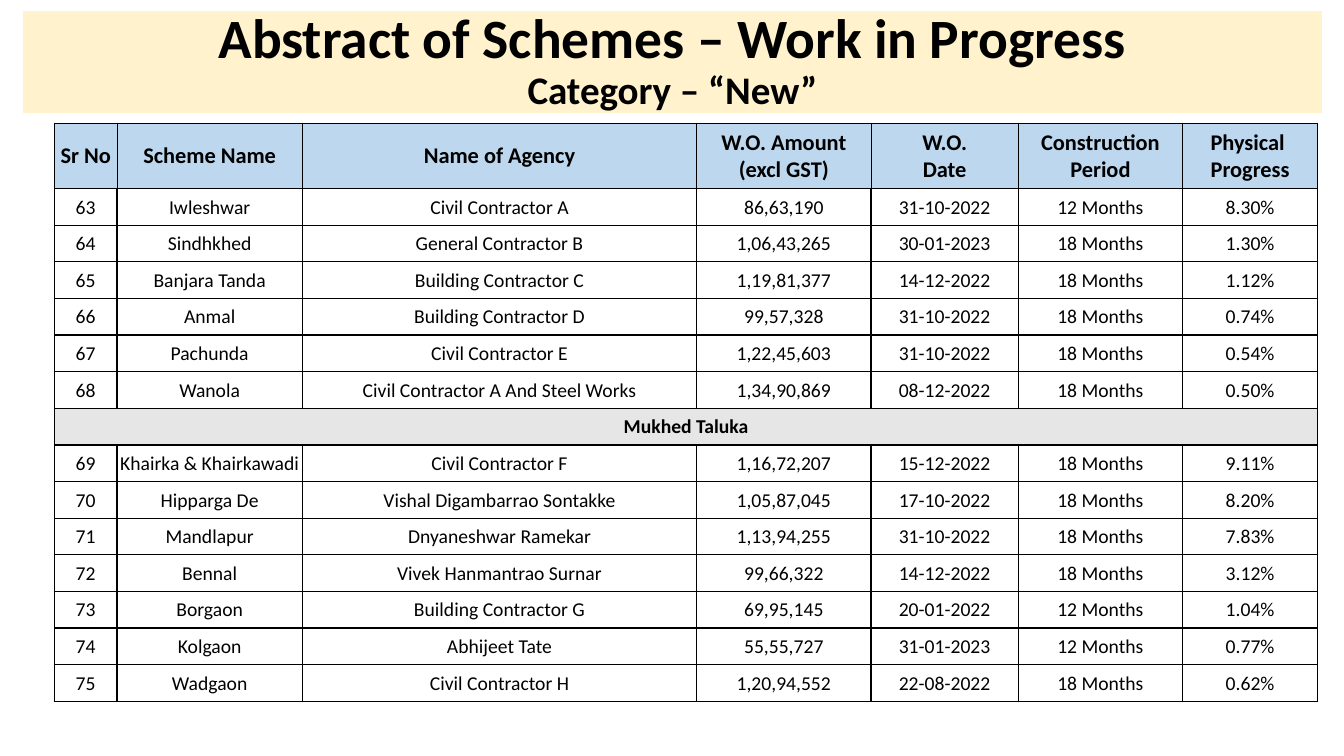
from lxml.etree import SubElement
from pptx import Presentation
from pptx.dml.color import RGBColor
from pptx.enum.text import MSO_ANCHOR, PP_ALIGN
from pptx.oxml.ns import qn
from pptx.util import Inches, Pt

COLORS = {"black": "000000", "banner": "FFF2CC", "header": "BDD7EE", "taluka": "E7E6E6"}
FONT = "Calibri"
TITLE = [("Abstract of Schemes – Work in Progress", 39.6), ("Category – “New”", 27.9)]
COLUMN_WIDTHS = [0.62, 1.84, 3.91, 1.73, 1.46, 1.63, 1.34]
HEADINGS = [
    ("Sr No", "Scheme Name", "Name of Agency", "W.O. Amount\v(excl GST)", "W.O.\vDate",
     "Construction\vPeriod", "Physical \nProgress"),
]
SCHEMES = [
    ("63", "Iwleshwar", "Civil Contractor A", "86,63,190", "31-10-2022", "12 Months", "8.30%"),
    ("64", "Sindhkhed", "General Contractor B", "1,06,43,265", "30-01-2023", "18 Months", "1.30%"),
    ("65", "Banjara Tanda", "Building Contractor C", "1,19,81,377", "14-12-2022", "18 Months", "1.12%"),
    ("66", "Anmal", "Building Contractor D", "99,57,328", "31-10-2022", "18 Months", "0.74%"),
    ("67", "Pachunda", "Civil Contractor E", "1,22,45,603", "31-10-2022", "18 Months", "0.54%"),
    ("68", "Wanola", "Civil Contractor A And Steel Works", "1,34,90,869", "08-12-2022", "18 Months", "0.50%"),
    ("Mukhed Taluka",),
    ("69", "Khairka & Khairkawadi", "Civil Contractor F", "1,16,72,207", "15-12-2022", "18 Months", "9.11%"),
    ("70", "Hipparga De", "Vishal Digambarrao Sontakke", "1,05,87,045", "17-10-2022", "18 Months", "8.20%"),
    ("71", "Mandlapur", "Dnyaneshwar Ramekar", "1,13,94,255", "31-10-2022", "18 Months", "7.83%"),
    ("72", "Bennal", "Vivek Hanmantrao Surnar", "99,66,322", "14-12-2022", "18 Months", "3.12%"),
    ("73", "Borgaon", "Building Contractor G", "69,95,145", "20-01-2022", "12 Months", "1.04%"),
    ("74", "Kolgaon", "Abhijeet Tate", "55,55,727", "31-01-2023", "12 Months", "0.77%"),
    ("75", "Wadgaon", "Civil Contractor H", "1,20,94,552", "22-08-2022", "18 Months", "0.62%"),
]
TABLE_LEFT, HEADER_TOP, HEADER_HEIGHT, SCHEMES_HEIGHT = 0.54, 1.22, 0.65, 5.09
CELL_FORMAT = {
    "vertical_anchor": MSO_ANCHOR.MIDDLE,
    "margin_left": Inches(0.01),
    "margin_top": Inches(0.01),
    "margin_right": Inches(0.01),
    "margin_bottom": 0,
}


def set_format(target, values):
    for name, value in values.items():
        setattr(target, name, value)


def style_span(span, size, bold):
    set_format(span.font, {"name": FONT, "size": Pt(size), "bold": bold})
    span.font.color.rgb = RGBColor.from_string(COLORS["black"])


def draw_borders(cell, widths):
    properties = cell._tc.get_or_add_tcPr()
    for side, width in widths.items():
        line = SubElement(properties, qn(f"a:ln{side}"), w=str(Pt(width)))
        fill = SubElement(line, qn("a:solidFill"))
        SubElement(fill, qn("a:srgbClr"), val=COLORS["black"])


def paint(cell, color):
    if color:
        cell.fill.solid()
        cell.fill.fore_color.rgb = RGBColor.from_string(COLORS[color])
    else:
        cell.fill.background()


def add_grid(page, rows, top, height, size, borders, header):
    frame = page.shapes.add_table(
        len(rows), len(COLUMN_WIDTHS), Inches(TABLE_LEFT), Inches(top),
        Inches(sum(COLUMN_WIDTHS)), Inches(height))
    table = frame.table
    set_format(table, {"first_row": header, "horz_banding": False})
    for column, width in zip(table.columns, COLUMN_WIDTHS):
        column.width = Inches(width)
    for row_index, values in enumerate(rows):
        table.rows[row_index].height = Inches(height / len(rows))
        is_taluka = len(values) == 1
        color = "header" if header else "taluka" if is_taluka else None
        cells = list(table.rows[row_index].cells)
        for cell in cells:
            draw_borders(cell, borders)
            paint(cell, color)
        if is_taluka:
            cells[0].merge(cells[-1])
        for cell, value in zip(cells, values):
            set_format(cell, CELL_FORMAT)
            cell.text_frame.text = value
            for para in cell.text_frame.paragraphs:
                para.alignment = PP_ALIGN.CENTER
                for span in para.runs:
                    style_span(span, size, header or is_taluka)


def add_title(page):
    box = page.shapes.add_textbox(Inches(0.23), Inches(0.11), Inches(12.88), Inches(1.01))
    box.fill.solid()
    box.fill.fore_color.rgb = RGBColor.from_string(COLORS["banner"])
    set_format(box.text_frame, {"word_wrap": True, "vertical_anchor": MSO_ANCHOR.MIDDLE})
    para = box.text_frame.paragraphs[0]
    set_format(para, {"alignment": PP_ALIGN.CENTER, "line_spacing": 0.9})
    for index, (text, size) in enumerate(TITLE):
        if index:
            para.add_line_break()
        span = para.add_run()
        span.text = text
        style_span(span, size, True)


def main():
    deck = Presentation()
    set_format(deck, {"slide_width": Inches(13.33), "slide_height": Inches(7.5)})
    page = deck.slides.add_slide(deck.slide_layouts[6])
    add_title(page)
    add_grid(page, HEADINGS, HEADER_TOP, HEADER_HEIGHT, 16,
             {"L": 0.5, "R": 0.5, "T": 0.5, "B": 1}, True)
    add_grid(page, SCHEMES, HEADER_TOP + HEADER_HEIGHT, SCHEMES_HEIGHT, 14,
             {"L": 1, "R": 1, "T": 1, "B": 1}, False)
    deck.save("out.pptx")


if __name__ == "__main__":
    main()
